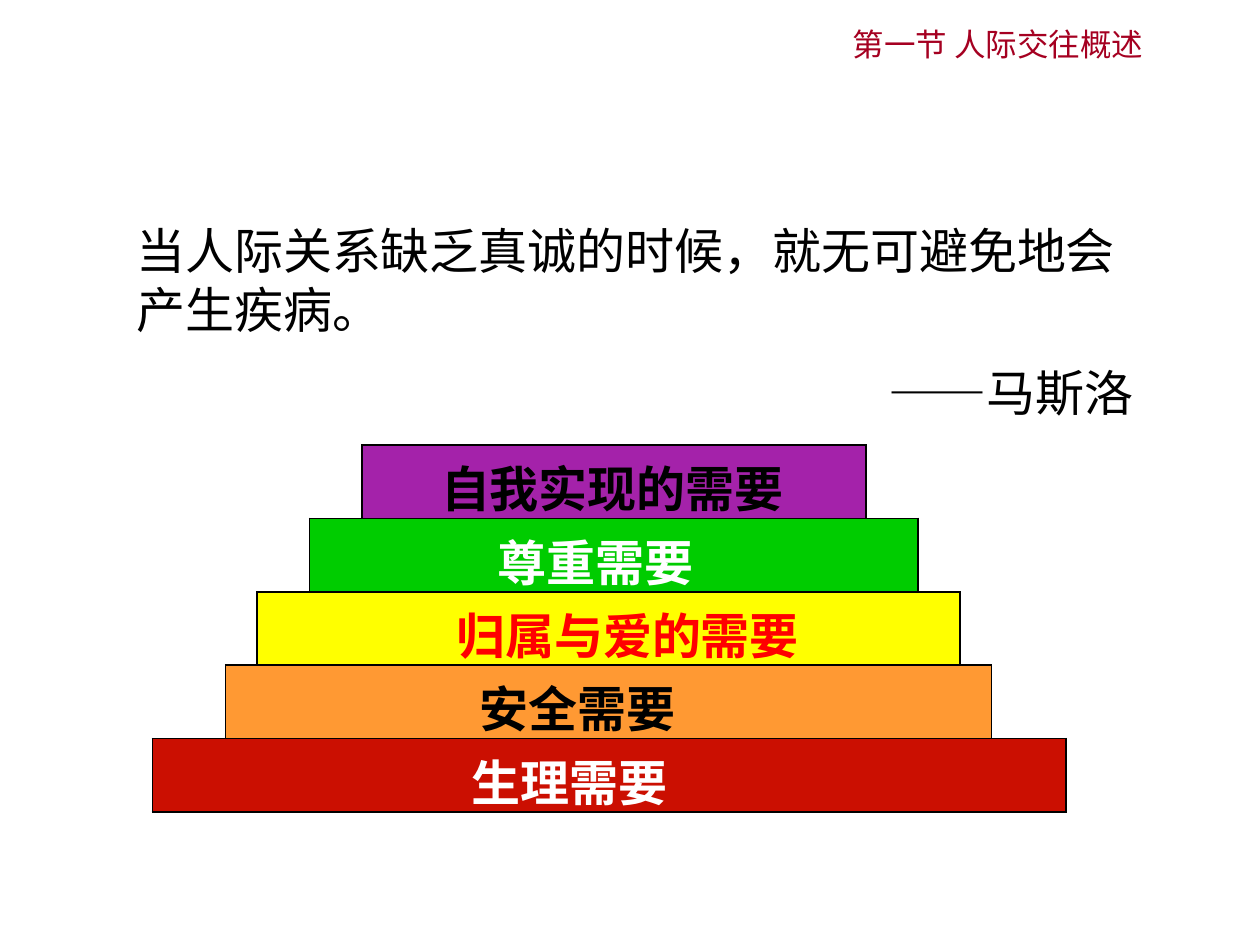
from pptx import Presentation
from pptx.dml.color import RGBColor as RGB
from pptx.enum.text import PP_ALIGN as Align
from pptx.oxml import parse_xml as to_xml
from pptx.oxml.ns import nsdecls
from pptx.util import Cm, Pt

BLACK = RGB(0x00, 0x00, 0x00)
WHITE = RGB(0xFF, 0xFF, 0xFF)
RED = RGB(0xFF, 0x00, 0x00)
WINE = RGB(0xA5, 0x00, 0x21)
PURPLE = RGB(0xA4, 0x22, 0xAA)
GREEN = RGB(0x00, 0xCC, 0x00)
YELLOW = RGB(0xFF, 0xFF, 0x00)
ORANGE = RGB(0xFF, 0x99, 0x33)
BRICK = RGB(0xCB, 0x0F, 0x01)

TOP = 8.97
STEP = 1.48

NEEDS = [
    (7.3, 10.16, 1.59, "自我实现的需要", PURPLE, BLACK),
    (6.24, 12.27, 3.79, "尊重需要", GREEN, WHITE),
    (5.18, 14.17, 4.02, "归属与爱的需要", YELLOW, RED),
    (4.55, 15.44, 5.12, "安全需要", ORANGE, BLACK),
    (3.07, 18.42, 6.43, "生理需要", BRICK, WHITE),
]


class Page:
    size = 28
    font = "Arial"
    bold_font = "Times New Roman"

    def __init__(self, slide):
        self.slide = slide

    def run(self, para, text, color=BLACK, size=None, font=None, bold=False):
        run = para.add_run()
        run.text = text
        run.font.size = Pt(size or self.size)
        run.font.name = font or self.font
        run.font.bold = bold
        run.font.color.rgb = color

    def box(self, left, top, width, height, wrap=True):
        box = self.slide.shapes.add_textbox(
            Cm(left), Cm(top), Cm(width), Cm(height))
        box.text_frame.word_wrap = wrap
        return box.text_frame

    def header(self, text):
        para = self.box(16.7, 0, 6.6, 1.42, wrap=False).paragraphs[0]
        para.alignment = Align.RIGHT
        para.line_spacing = 1.5
        self.run(para, text, WINE, 18, "Noto Sans CJK SC")

    def quote(self, text, author):
        frame = self.box(2.5, 4.32, 20.6, 4.45)
        self.run(frame.paragraphs[0], text)
        para = frame.add_paragraph()
        para.alignment = Align.RIGHT
        para.space_before = Pt(self.size / 2)
        self.run(para, author)

    def border(self, cell):
        props = cell._tc.get_or_add_tcPr()
        for spot, side in enumerate("LRTB"):
            props.insert(spot, to_xml(
                f'<a:ln{side} {nsdecls("a")} w="{Pt(1)}"><a:solidFill>'
                f'<a:srgbClr val="{BLACK}"/></a:solidFill></a:ln{side}>'))

    def bar(self, left, top, width, indent, text, fill, color):
        table = self.slide.shapes.add_table(
            1, 1, Cm(left), Cm(top), Cm(width), Cm(STEP)).table
        table.first_row = table.horz_banding = False
        cell = table.cell(0, 0)
        cell.fill.solid()
        cell.fill.fore_color.rgb = fill
        cell.margin_left = Cm(indent)
        cell.margin_top = Cm(0.12)
        cell.margin_bottom = 0
        self.border(cell)
        self.run(cell.text_frame.paragraphs[0], text, color,
                 font=self.bold_font, bold=True)


def main():
    deck = Presentation()
    deck.slide_width, deck.slide_height = Cm(25.4), Cm(19.05)
    page = Page(deck.slides.add_slide(deck.slide_layouts[6]))
    page.quote("当人际关系缺乏真诚的时候，就无可避免地会产生疾病。", "——马斯洛")
    for level, (left, width, *rest) in enumerate(NEEDS):
        page.bar(left, TOP + level * STEP, width, *rest)
    page.header("第一节 人际交往概述")
    deck.save("out.pptx")


if __name__ == "__main__":
    main()
